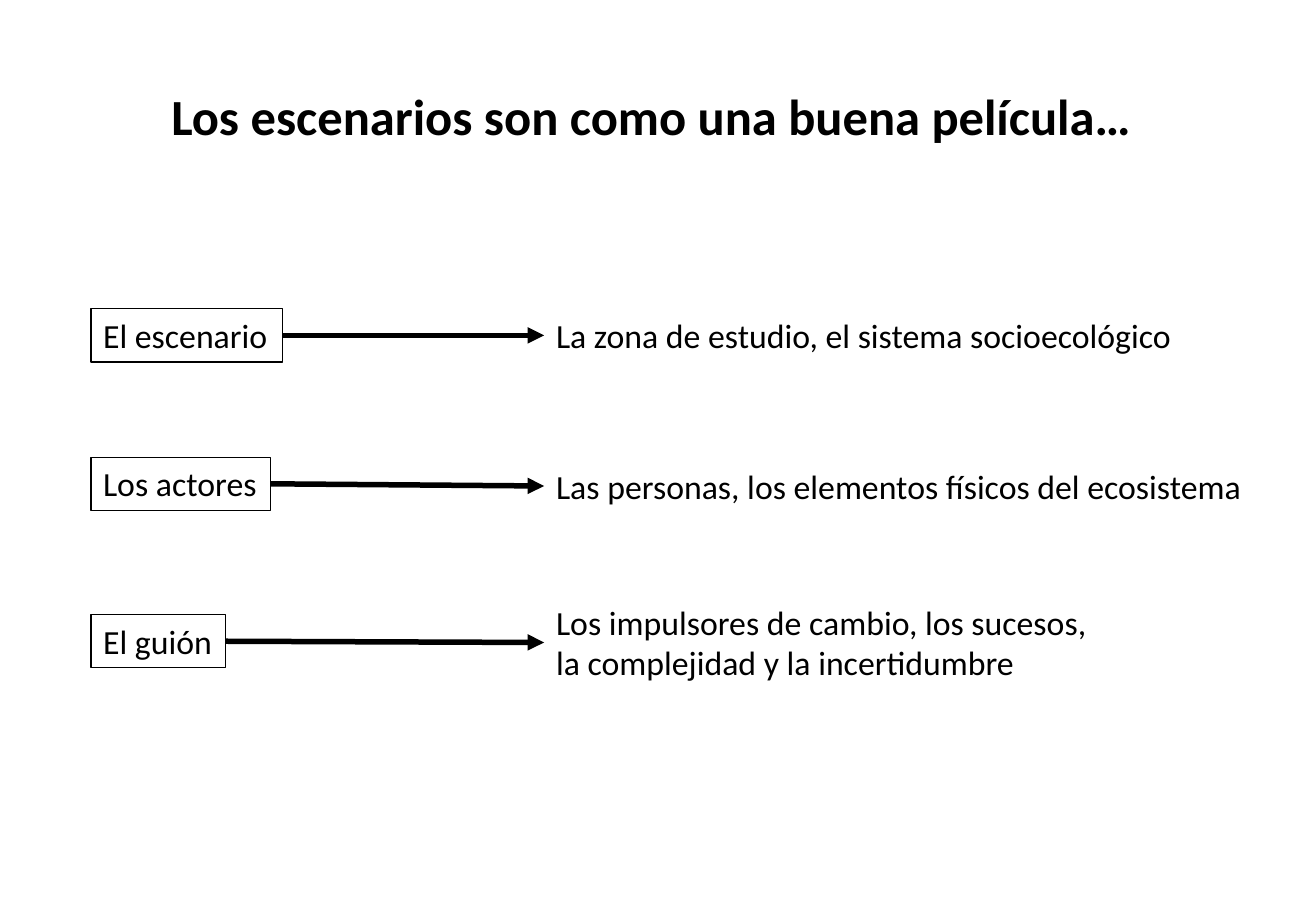
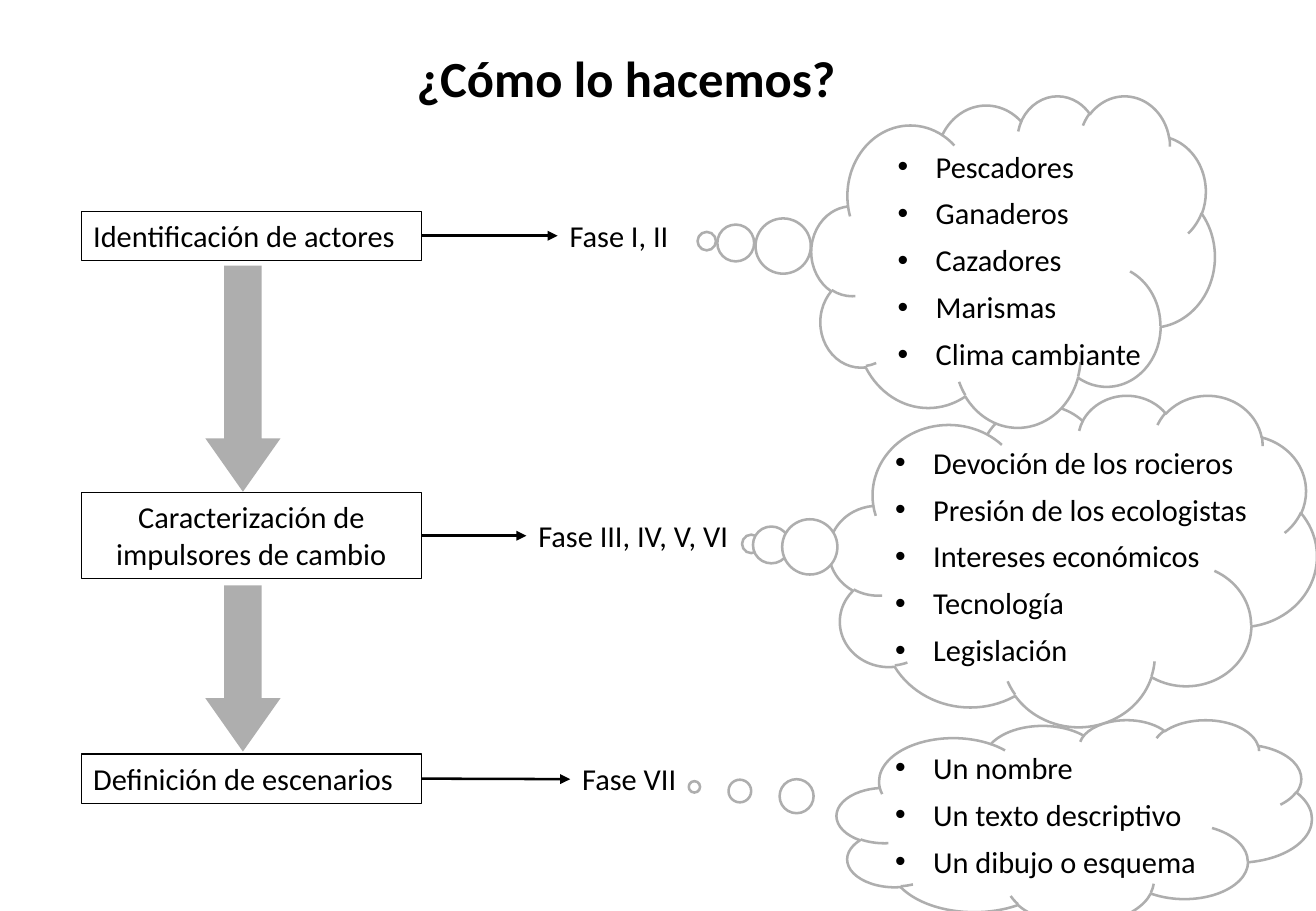
from dataclasses import dataclass

from lxml.etree import SubElement
from pptx import Presentation
from pptx.dml.color import RGBColor
from pptx.enum.shapes import MSO_CONNECTOR, MSO_SHAPE
from pptx.enum.text import MSO_ANCHOR, MSO_AUTO_SIZE, PP_ALIGN
from pptx.oxml.ns import qn
from pptx.util import Pt


@dataclass(frozen=True)
class Theme:
    font: str = "Calibri"
    ink: RGBColor = RGBColor(0, 0, 0)
    paper: RGBColor = RGBColor(255, 255, 255)
    gray: RGBColor = RGBColor(0xAE, 0xAE, 0xAE)
    head: float = 30
    large: float = 20
    body: float = 18
    frame: float = 0.75
    cloud: float = 1.5


THEME = Theme()
TITLE_ONLY = 5
RIGHT, LEFT = 3, 1
INDENT = 22.5
GAP = 6.2


def dress(item, **form):
    for key, value in form.items():
        setattr(item, key, value)


def place(box):
    return [Pt(value) for value in box]


def write(shape, lines, size, wrap=False, bold=False, align=PP_ALIGN.LEFT):
    frame = shape.text_frame
    dress(frame, word_wrap=wrap, vertical_anchor=MSO_ANCHOR.TOP,
          auto_size=MSO_AUTO_SIZE.SHAPE_TO_FIT_TEXT)
    frame.text = "\n".join(lines)
    for para in frame.paragraphs:
        para.alignment = align
        font = para.runs[0].font
        dress(font, name=THEME.font, size=Pt(size), bold=bold)
        font.color.rgb = THEME.ink


def add_page(deck, title, box):
    slide = deck.slides.add_slide(deck.slide_layouts[TITLE_ONLY])
    head = slide.shapes.title
    dress(head, **dict(zip(("left", "top", "width", "height"), place(box))))
    write(head, [title], THEME.head, bold=True)
    return slide


def add_label(slide, box, text, size, **form):
    label = slide.shapes.add_textbox(*place(box))
    write(label, [text], size, **form)
    return label


def add_solid(slide, kind, box, fill, line=None, width=0):
    shape = slide.shapes.add_shape(kind, *place(box))
    shape.shadow.inherit = False
    for part, color in ((shape.fill, fill), (shape.line.fill, line)):
        if color is None:
            part.background()
        else:
            part.solid()
            part.fore_color.rgb = color
    if line is not None:
        shape.line.width = Pt(width)
    return shape


def add_frame(slide, box, text, size, **form):
    frame = add_solid(slide, MSO_SHAPE.RECTANGLE, box, None,
                      THEME.ink, THEME.frame)
    write(frame, [text], size, **form)
    return frame


def add_arrow(slide, start, end, width):
    """Join the right side of start to the left side of end."""
    arrow = slide.shapes.add_connector(MSO_CONNECTOR.STRAIGHT, 0, 0, 0, 0)
    arrow.begin_connect(start, RIGHT)
    arrow.end_connect(end, LEFT)
    arrow.line.width = Pt(width)
    arrow.line.color.rgb = THEME.ink
    SubElement(arrow.line._get_or_add_ln(), qn("a:tailEnd"), type="triangle")
    SubElement(arrow._element.spPr, qn("a:effectLst"))


def add_list(slide, left, top, lines):
    high = 22 * len(lines) + GAP * (len(lines) - 1) + 7.2
    shape = slide.shapes.add_textbox(*place((left, top, 240, high)))
    write(shape, lines, THEME.body, wrap=True)
    for index, para in enumerate(shape.text_frame.paragraphs):
        props = para._p.get_or_add_pPr()
        props.set("marL", str(Pt(INDENT)))
        props.set("indent", str(-Pt(INDENT)))
        SubElement(props, qn("a:buFont"), typeface="Arial")
        SubElement(props, qn("a:buChar"), char="•")
        if index:
            para.space_before = Pt(GAP)


def add_cloud(slide, box, tip, spot, lines):
    cloud = add_solid(slide, MSO_SHAPE.CLOUD_CALLOUT, box, THEME.paper,
                      THEME.gray, THEME.cloud)
    for index, value in enumerate(tip):
        cloud.adjustments[index] = value
    add_list(slide, *spot, lines)


def build_film(deck):
    slide = add_page(deck, "Los escenarios son como una buena película…",
                     (94.3, 46.8, 592.6, 43.9))
    rows = (
        ("El escenario", 183, 113.3,
         "La zona de estudio, el sistema socioecológico", (183, 382.5, 31.6)),
        ("Los actores", 271, 106.5,
         "Las personas, los elementos físicos del ecosistema",
         (272.3, 425, 31.6)),
        ("El guión", 364.3, 79.5,
         "Los impulsores de cambio, los sucesos, "
         "la complejidad y la incertidumbre", (353, 339, 55.7)),
    )
    for term, top, wide, text, (level, span, high) in rows:
        frame = add_frame(slide, (54, top, wide, 31.6), term, THEME.large)
        label = add_label(slide, (322.5, level, span, high), text,
                          THEME.large, wrap=high > 40)
        add_arrow(slide, frame, label, 3.25)


def build_steps(deck):
    slide = add_page(deck, "¿Cómo lo hacemos?", (239.8, 24, 265, 43.9))
    clouds = (
        ((491.5, 234, 289, 196.5), (-0.66, -0.05), (523.5, 259.5),
         ("Devoción de los rocieros", "Presión de los ecologistas",
          "Intereses económicos", "Tecnología", "Legislación")),
        ((496, 426.5, 281.5, 121), (-0.8, -0.17), (523.5, 440.6),
         ("Un nombre", "Un texto descriptivo", "Un dibujo o esquema")),
        ((481, 56.5, 239, 196.5), (-0.76, -0.06), (525, 84),
         ("Pescadores", "Ganaderos", "Cazadores", "Marismas",
          "Clima cambiante")),
    )
    for cloud in clouds:
        add_cloud(slide, *cloud)

    steps = (
        ("Identificación de actores", 125.2, 29.1,
         "Fase I, II", (330.5, 125.2, 73.4)),
        ("Caracterización de impulsores de cambio", 292, 51.1,
         "Fase III, IV, V, VI", (312, 303, 128)),
        ("Definición de escenarios", 447, 29.1,
         "Fase VII", (338, 447.3, 70.5)),
    )
    for text, top, high, phase, (left, level, wide) in steps:
        tall = high > 40
        frame = add_frame(slide, (48.2, top, 201.6, high), text, THEME.body,
                          wrap=tall,
                          align=PP_ALIGN.CENTER if tall else PP_ALIGN.LEFT)
        label = add_label(slide, (left, level, wide, 29.1), phase, THEME.body)
        add_arrow(slide, frame, label, 1.5)

    for top, high in ((157.5, 134), (347, 98.5)):
        arrow = add_solid(slide, MSO_SHAPE.DOWN_ARROW,
                          (121.7, top, 44.6, high), THEME.gray)
        arrow.adjustments[1] = 0.71


def main():
    deck = Presentation()
    dress(deck, slide_width=Pt(780), slide_height=Pt(540))
    build_film(deck)
    build_steps(deck)
    deck.save("out.pptx")


if __name__ == "__main__":
    main()
